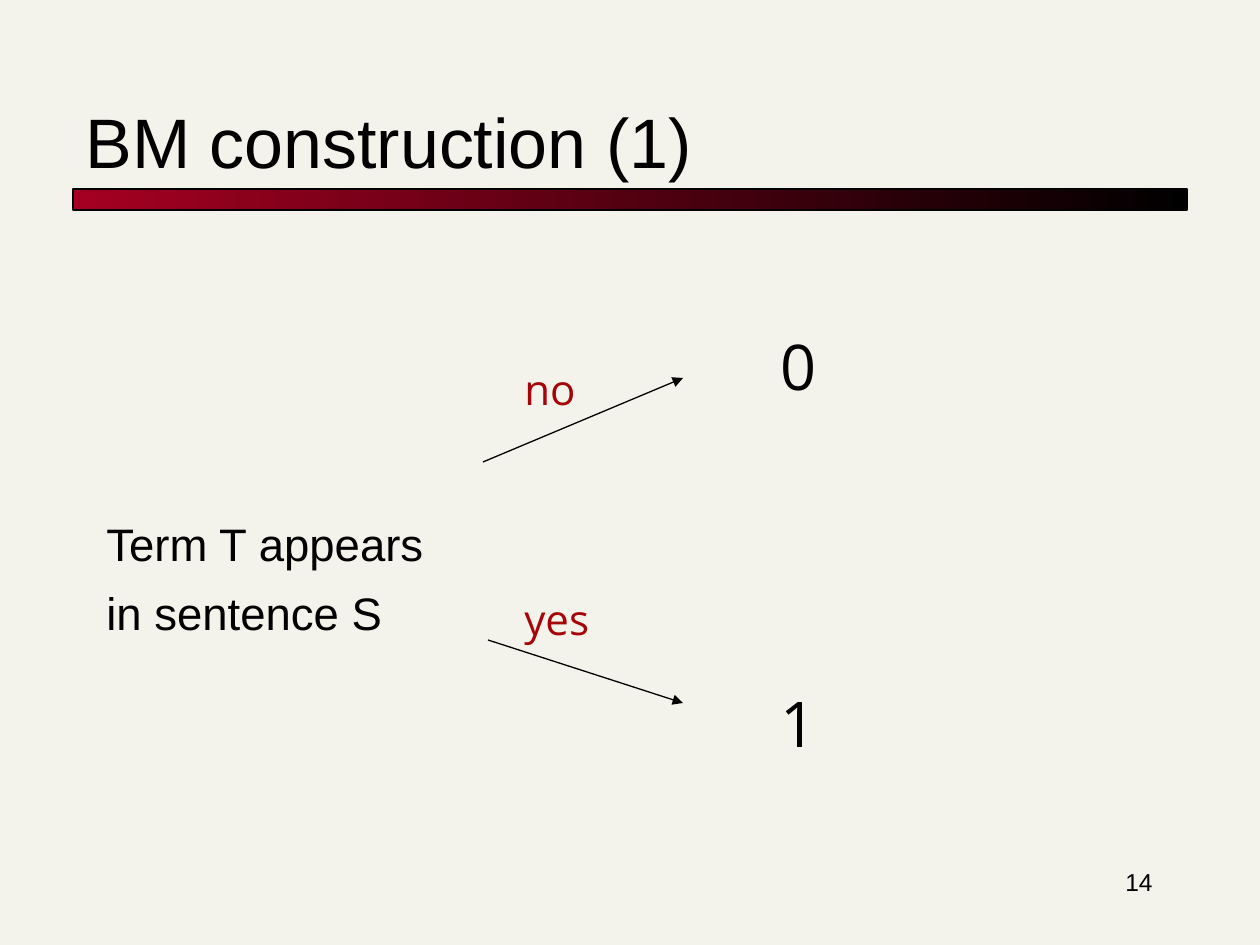
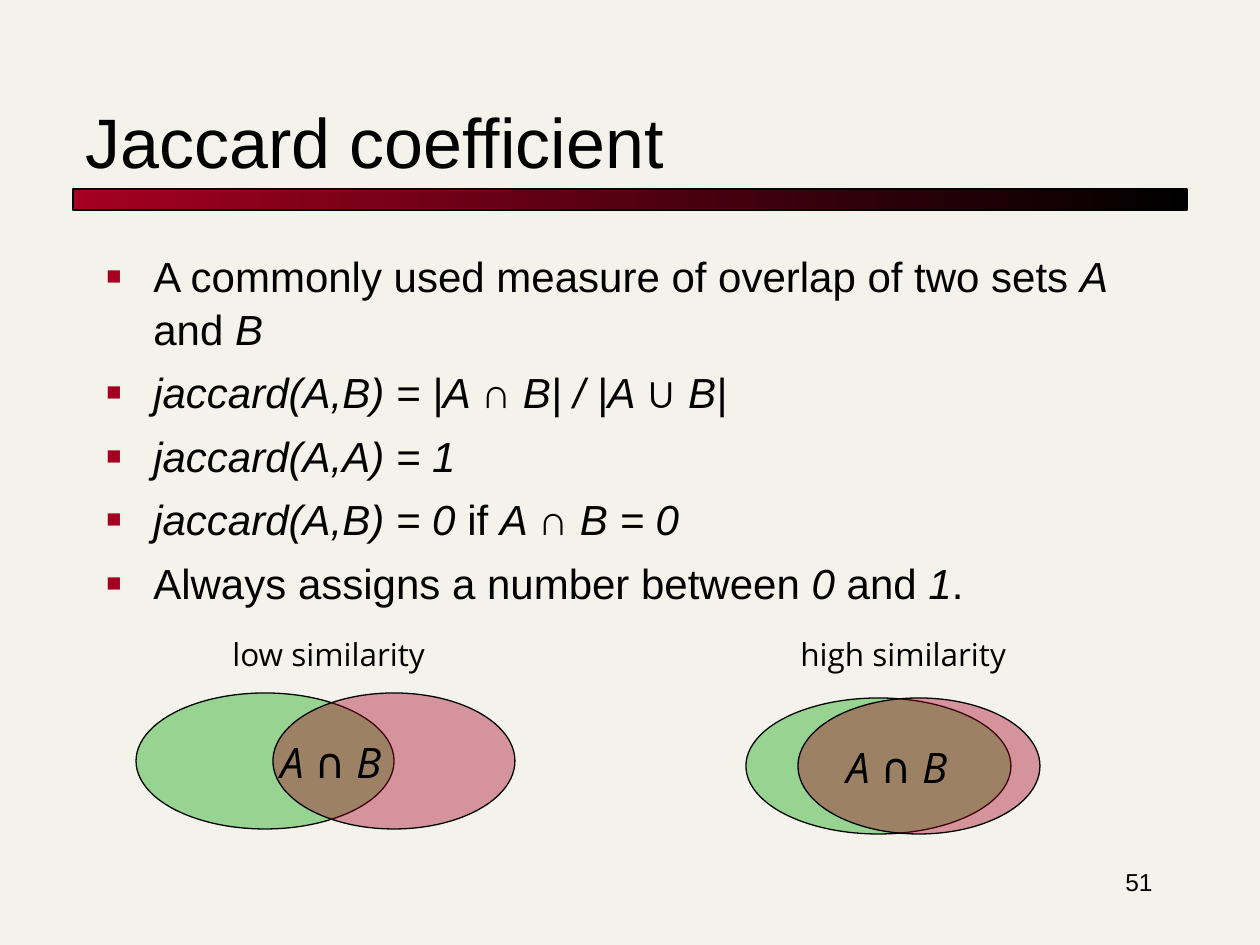
import dataclasses

import pptx
import pptx.dml.color
import pptx.enum.shapes
import pptx.enum.text
import pptx.oxml
import pptx.oxml.ns
import pptx.util

EMU_PER_PX = 914400 / 126
ALIGN = pptx.enum.text.PP_ALIGN
ANCHOR = pptx.enum.text.MSO_ANCHOR
FIT = pptx.enum.text.MSO_AUTO_SIZE
SHAPE = pptx.enum.shapes.MSO_SHAPE


@dataclasses.dataclass(frozen=True)
class Theme:
    paper: str = "F4F3EB"
    ink: str = "000000"
    crimson: str = "A50021"
    answer: str = "A40508"
    green: str = "00A000"
    text_font: str = "Arial"
    label_font: str = "Open Sans"
    title_size: int = 40
    outcome_size: int = 36
    statement_size: int = 26
    body_size: int = 24
    caption_size: int = 18
    number_size: int = 14
    line_width: float = 0.75
    line_spacing: float = 1.05


THEME = Theme()


def px(length):
    return pptx.util.Emu(round(length * EMU_PER_PX))


def rgb(value):
    return pptx.dml.color.RGBColor.from_string(value)


def set_values(target, values):
    for name, value in values.items():
        setattr(target, name, value)


def append_xml(parent, tag, **attributes):
    element = pptx.oxml.parse_xml(f"<a:{tag} {pptx.oxml.ns.nsdecls('a')}/>")
    for name, value in attributes.items():
        element.set(name, str(value))
    parent.append(element)
    return element


def style_line(line):
    line.color.rgb = rgb(THEME.ink)
    line.width = pptx.util.Pt(THEME.line_width)


def add_bullet(para):
    properties = para._p.get_or_add_pPr()
    properties.set("marL", str(px(47)))
    properties.set("indent", str(-px(47)))
    append_xml(append_xml(properties, "buClr"), "srgbClr", val=THEME.crimson)
    append_xml(properties, "buSzPct", val=60000)
    append_xml(properties, "buFont", typeface=THEME.text_font)
    append_xml(properties, "buChar", char="■")


def add_text(page, area, lines, size, font=THEME.text_font, color=THEME.ink,
             frame=None, layout=None, gap=0, bullets=False):
    box = page.shapes.add_textbox(*map(px, area))
    set_values(box.text_frame, {"word_wrap": True, **(frame or {})})
    for index, line in enumerate(lines):
        para = box.text_frame.paragraphs[0] if index == 0 else box.text_frame.add_paragraph()
        if bullets:
            add_bullet(para)
        set_values(para, layout or {})
        if index:
            para.space_before = pptx.util.Pt(gap)
        for position, part in enumerate(line.split("*")):
            if part:
                span = para.add_run()
                span.text = part
                set_values(span.font, {"name": font, "size": pptx.util.Pt(size),
                                       "italic": position % 2 == 1})
                span.font.color.rgb = rgb(color)


def add_label(page, area, text, size, color=THEME.ink):
    add_text(page, area, [text], size, THEME.label_font, color,
             {"word_wrap": False, "auto_size": FIT.SHAPE_TO_FIT_TEXT})


def add_outcome(page, top, text):
    add_text(page, (725, top, 147, 88), [text], THEME.outcome_size, THEME.label_font,
             frame={"auto_size": FIT.SHAPE_TO_FIT_TEXT}, layout={"alignment": ALIGN.CENTER})


def add_arrow(page, start, end):
    arrow = page.shapes.add_connector(
        pptx.enum.shapes.MSO_CONNECTOR.STRAIGHT, *map(px, start + end))
    style_line(arrow.line)
    append_xml(arrow.line._get_or_add_ln(), "tailEnd", type="triangle")
    append_xml(arrow._element.spPr, "effectLst")


def add_band(page):
    band = page.shapes.add_shape(SHAPE.RECTANGLE, *map(px, (73, 189, 1114, 21)))
    band.shadow.inherit = False
    band.fill.gradient()
    band.fill.gradient_angle = 0
    for stop, color in zip(band.fill.gradient_stops, (THEME.crimson, THEME.ink)):
        stop.color.rgb = rgb(color)
    style_line(band.line)


def add_set(page, left, top, width, color, opacity):
    oval = page.shapes.add_shape(SHAPE.OVAL, *map(px, (left, top, width, 136)))
    oval.shadow.inherit = False
    oval.fill.solid()
    oval.fill.fore_color.rgb = rgb(color)
    tint = oval._element.spPr.find(
        f"{pptx.oxml.ns.qn('a:solidFill')}/{pptx.oxml.ns.qn('a:srgbClr')}")
    append_xml(tint, "alpha", val=opacity * 1000)
    style_line(oval.line)


def add_venn(page, top, set_a, set_b, overlap_left):
    add_set(page, set_a[0], top, set_a[1], THEME.green, 38)
    add_set(page, set_b[0], top, set_b[1], THEME.crimson, 39)
    add_label(page, (overlap_left, top + 37, 126, 63), "*A ∩ B*", THEME.body_size)


def add_page(deck, title, number):
    page = deck.slides.add_slide(deck.slide_layouts[6])
    page.background.fill.solid()
    page.background.fill.fore_color.rgb = rgb(THEME.paper)
    add_band(page)
    add_text(page, (73, 53, 1113, 136), [title], THEME.title_size,
             frame={"vertical_anchor": ANCHOR.BOTTOM})
    add_text(page, (903, 861, 262, 63), [number], THEME.number_size,
             layout={"alignment": ALIGN.RIGHT})
    return page


def build_construction(deck):
    page = add_page(deck, "BM construction (1)", "14")
    add_text(page, (94, 507, 1071, 407), ["Term T appears", "in sentence S"],
             THEME.statement_size, layout={"line_spacing": THEME.line_spacing}, gap=6.5)
    add_arrow(page, (483, 462), (683, 378))
    add_arrow(page, (488, 640), (683, 703))
    add_label(page, (512, 357, 77, 63), "no", THEME.body_size, THEME.answer)
    add_label(page, (512, 587, 91, 63), "yes", THEME.body_size, THEME.answer)
    add_outcome(page, 321, "0")
    add_outcome(page, 678, "1")


def build_jaccard(deck):
    page = add_page(deck, "Jaccard coefficient", "51")
    facts = [
        "A commonly used measure of overlap of two sets *A* and *B*",
        "*jaccard(A,B) = |A ∩ B| / |A *∪ *B|*",
        "*jaccard(A,A) = 1*",
        "*jaccard(A,B) = 0 *if *A ∩ B = 0*",
        "Always assigns a number between *0* and *1*.",
    ]
    add_text(page, (94, 242, 1071, 672), facts, THEME.body_size,
             layout={"line_spacing": THEME.line_spacing}, gap=6, bullets=True)
    add_venn(page, 693, (136, 258), (273, 242), 268)
    add_venn(page, 698, (746, 265), (798, 242), 834)
    add_label(page, (220, 629, 220, 50), "low similarity", THEME.caption_size)
    add_label(page, (788, 629, 234, 50), "high similarity", THEME.caption_size)


def main():
    deck = pptx.Presentation()
    set_values(deck, {"slide_width": px(1260), "slide_height": px(945)})
    build_construction(deck)
    build_jaccard(deck)
    deck.save("out.pptx")


if __name__ == "__main__":
    main()
